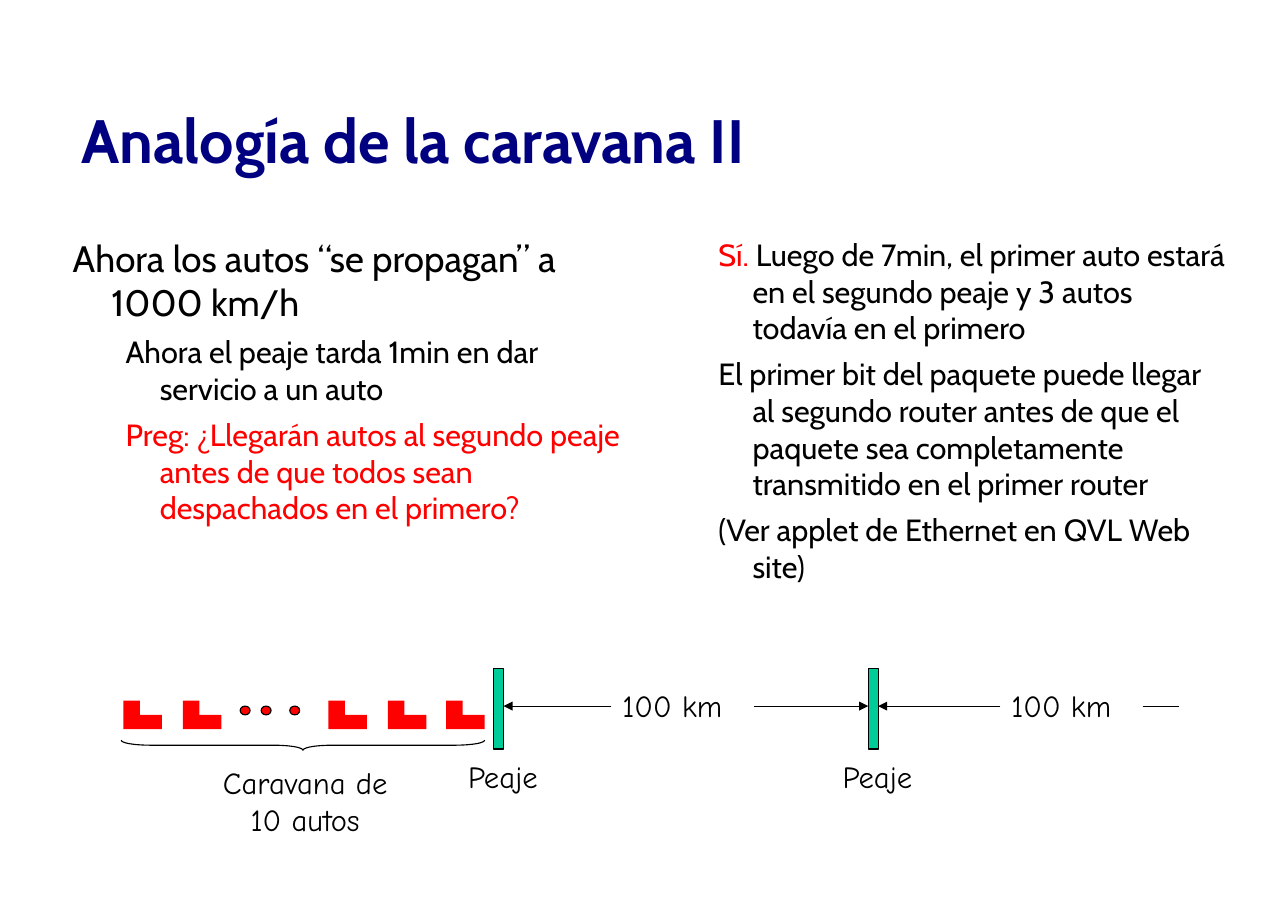
from lxml import etree
from pptx import Presentation
from pptx.dml.color import RGBColor
from pptx.enum.shapes import MSO_CONNECTOR, MSO_SHAPE
from pptx.enum.text import MSO_ANCHOR, MSO_AUTO_SIZE, PP_ALIGN
from pptx.oxml.ns import qn
from pptx.util import Inches, Pt

RECTANGLE, OVAL, BRACE = MSO_SHAPE.RECTANGLE, MSO_SHAPE.OVAL, MSO_SHAPE.LEFT_BRACE
STRAIGHT = MSO_CONNECTOR.STRAIGHT
LEFT, CENTER = PP_ALIGN.LEFT, PP_ALIGN.CENTER
TOP, MIDDLE = MSO_ANCHOR.TOP, MSO_ANCHOR.MIDDLE
NO_AUTOFIT = MSO_AUTO_SIZE.NONE

COLORS = {"navy": "000080", "black": "000000", "red": "FF0000", "green": "00CC99"}
TEXT_FONT, DRAWING_FONT = "Cabin", "Comic Neue"

# Content: each paragraph is (level, [(text, color), ...])
TITLE = "Analogía de la caravana II"
COLUMNS = [
    [
        (0, [("Ahora los autos “se propagan” a 1000 km/h", "black")]),
        (1, [("Ahora el peaje tarda 1min en dar servicio a un auto", "black")]),
        (1, [("Preg: ¿Llegarán autos al segundo peaje antes de que todos sean "
              "despachados en el primero?", "red")]),
    ],
    [
        (1, [("Sí.", "red"), (" Luego de 7min, el primer auto estará en el segundo "
                              "peaje y 3 autos todavía en el primero", "black")]),
        (1, [("El primer bit del paquete puede llegar al segundo router antes de que "
              "el paquete sea completamente transmitido en el primer router", "black")]),
        (1, [("(Ver applet de Ethernet en QVL Web site)", "black")]),
    ],
]
TOLL, DISTANCE, CARAVAN = "Peaje", "100 km", "Caravana de\v10 autos"
LEVELS = [  # size, left margin, first-line indent
    (24, 0.37, -0.35),
    (20, 0.81, -0.31),
]

# Layout, in inches
PAGE_WIDTH, PAGE_HEIGHT = 11.69, 8.27
MARGIN, TITLE_WIDTH = 0.64, 10.5
BODY_TOP, BODY_WIDTH, BODY_STEP = 2.14, 5.12, 5.38
BODY_HEIGHTS = [2.88, 3.72]
ROAD = 6.41
TOLL_TOP, TOLL_WIDTH, TOLL_HEIGHT = 6.07, 0.09, 0.73
TOLLS = [4.48, 7.88]
CARS = [1.12, 1.66, 2.98, 3.52, 4.05]
CAR_WIDTH, CABIN_WIDTH, CAR_ROW, CAR_TOP = 0.35, 0.15, 0.13, 6.36
DOTS = [2.18, 2.37, 2.63]
BRACE_LEFT, BRACE_TOP, BRACE_LENGTH, BRACE_DEPTH = 1.1, 6.72, 3.3, 0.09
DISTANCE_LEFTS, DISTANCE_WIDTH, LABEL_HEIGHT = [5.55, 9.08], 1.29, 0.42
ROAD_LINES = [  # from, to, arrow
    (DISTANCE_LEFTS[0], TOLLS[0] + TOLL_WIDTH, True),
    (DISTANCE_LEFTS[0] + DISTANCE_WIDTH, TOLLS[1], True),
    (DISTANCE_LEFTS[1], TOLLS[1] + TOLL_WIDTH, True),
    (DISTANCE_LEFTS[1] + DISTANCE_WIDTH, 10.7, False),
]


def apply(target, **values):
    for name, value in values.items():
        setattr(target, name, value)


def color(name):
    return RGBColor.from_string(COLORS[name])


def place(shape, *frame):
    sides = ("left", "top", "width", "height")
    apply(shape, **{side: Inches(length) for side, length in zip(sides, frame)})


def style(font, name, size, hue, bold=False):
    apply(font, name=name, size=Pt(size), bold=bold)
    font.color.rgb = color(hue)


def write_title(page):
    title = page.shapes.title
    place(title, MARGIN, 0.56, TITLE_WIDTH, 1.4)
    apply(title.text_frame, text=TITLE, word_wrap=True,
          vertical_anchor=MIDDLE, auto_size=NO_AUTOFIT)
    para = title.text_frame.paragraphs[0]
    para.alignment = LEFT
    style(para.runs[0].font, TEXT_FONT, 40, "navy", True)


def write_body(body, paragraphs):
    frame = body.text_frame
    apply(frame, margin_left=0, margin_top=0, margin_right=0, margin_bottom=0,
          word_wrap=True, vertical_anchor=TOP, auto_size=NO_AUTOFIT)
    for index, (level, spans) in enumerate(paragraphs):
        para = frame.add_paragraph() if index else frame.paragraphs[0]
        size, margin, indent = LEVELS[level]
        apply(para, level=level, alignment=LEFT, space_before=Pt(6))
        properties = para._p.get_or_add_pPr()
        properties.set("marL", str(Inches(margin)))
        properties.set("indent", str(Inches(indent)))
        etree.SubElement(properties, qn("a:buNone"))
        for text, hue in spans:
            span = para.add_run()
            span.text = text
            style(span.font, TEXT_FONT, size, hue)


def add_label(page, text, frame, alignment=CENTER, wrap=False):
    box = page.shapes.add_textbox(*map(Inches, frame))
    apply(box.text_frame, text=text, word_wrap=wrap)
    para = box.text_frame.paragraphs[0]
    para.alignment = alignment
    for span in para.runs:
        style(span.font, DRAWING_FONT, 20, "black")


def add_figure(page, kind, frame, fill=None, outlined=True):
    figure = page.shapes.add_shape(kind, *map(Inches, frame))
    figure.shadow.inherit = False
    if fill:
        figure.fill.solid()
        figure.fill.fore_color.rgb = color(fill)
    else:
        figure.fill.background()
    if outlined:
        figure.line.color.rgb = color("black")
        figure.line.width = Pt(0.75)
    else:
        figure.line.fill.background()
    return figure


def add_road_line(page, start, end, arrow):
    line = page.shapes.add_connector(
        STRAIGHT, Inches(start), Inches(ROAD), Inches(end), Inches(ROAD))
    line.line.color.rgb = color("black")
    line.line.width = Pt(0.75)
    if arrow:
        etree.SubElement(line.line._get_or_add_ln(), qn("a:tailEnd"), type="triangle")
    etree.SubElement(line._element.spPr, qn("a:effectLst"))


def draw_caravan(page):
    for left in CARS:
        for row, width in enumerate((CABIN_WIDTH, CAR_WIDTH)):
            frame = (left, CAR_TOP + row * CAR_ROW, width, CAR_ROW)
            add_figure(page, RECTANGLE, frame, "red", outlined=False)
    for left in DOTS:
        add_figure(page, OVAL, (left, ROAD, 0.09, 0.08), "red")
    # The brace is upright before its quarter turn about its centre
    brace = add_figure(page, BRACE, (
        BRACE_LEFT + (BRACE_LENGTH - BRACE_DEPTH) / 2,
        BRACE_TOP - (BRACE_LENGTH - BRACE_DEPTH) / 2,
        BRACE_DEPTH, BRACE_LENGTH))
    brace.rotation = 270
    brace.adjustments[0] = 3
    add_label(page, CARAVAN, (1.92, 6.89, 1.7, 0.74))


def draw_road(page):
    for left in TOLLS:
        add_figure(page, RECTANGLE, (left, TOLL_TOP, TOLL_WIDTH, TOLL_HEIGHT), "green")
        label_left = left + (TOLL_WIDTH - 0.84) / 2 + 0.04
        add_label(page, TOLL, (label_left, 6.83, 0.84, LABEL_HEIGHT))
    for left in DISTANCE_LEFTS:
        frame = (left, 6.19, DISTANCE_WIDTH, LABEL_HEIGHT)
        add_label(page, DISTANCE, frame, LEFT, wrap=True)
    for start, end, arrow in ROAD_LINES:
        add_road_line(page, start, end, arrow)


def main():
    deck = Presentation()
    apply(deck, slide_width=Inches(PAGE_WIDTH), slide_height=Inches(PAGE_HEIGHT))
    page = deck.slides.add_slide(deck.slide_layouts[3])
    write_title(page)
    for column, paragraphs in enumerate(COLUMNS):
        body = page.placeholders[column + 1]
        place(body, MARGIN + column * BODY_STEP, BODY_TOP, BODY_WIDTH, BODY_HEIGHTS[column])
        write_body(body, paragraphs)
    draw_road(page)
    draw_caravan(page)
    deck.save("out.pptx")


if __name__ == "__main__":
    main()
